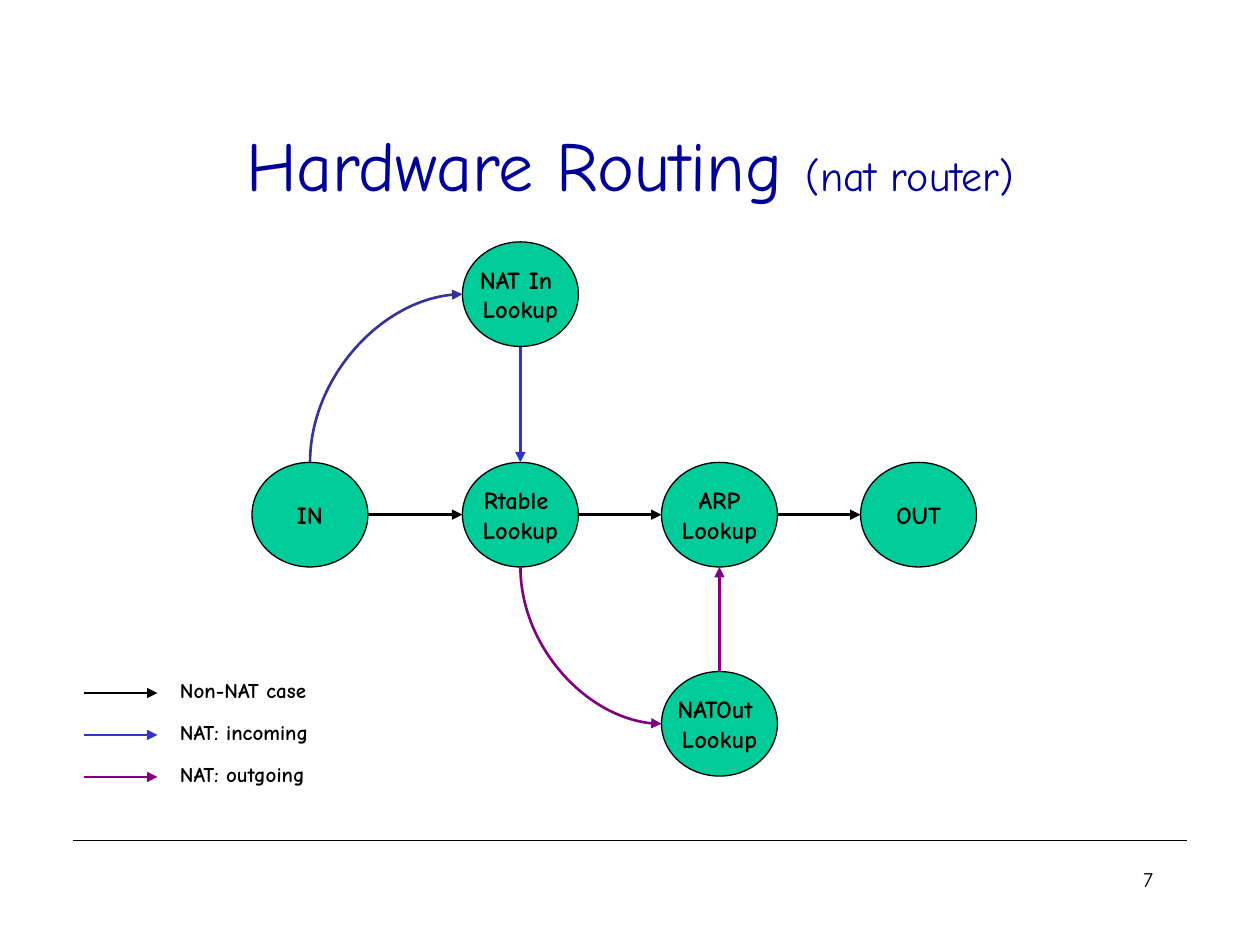
from pptx import Presentation
from pptx.dml.color import RGBColor
from pptx.enum.shapes import MSO_CONNECTOR, MSO_SHAPE
from pptx.enum.text import MSO_ANCHOR, PP_ALIGN
from pptx.oxml.ns import qn
from pptx.util import Inches, Pt
from lxml import etree

BLACK = RGBColor(0x00, 0x00, 0x00)
NAVY = RGBColor(0x00, 0x00, 0x99)
GREEN = RGBColor(0x00, 0xCC, 0x99)
INDIGO = RGBColor(0x33, 0x33, 0x99)
BLUE = RGBColor(0x33, 0x33, 0xCC)
PURPLE = RGBColor(0x80, 0x00, 0x80)

NODE_WIDTH, NODE_HEIGHT = 0.92, 0.83
COLUMNS = (2, 3.67, 5.25, 6.83)
ROWS = (1.92, 3.67, 5.33)


def write_text(shape, paragraphs, align=PP_ALIGN.LEFT, anchor=MSO_ANCHOR.TOP,
               wrap=True, font="Comic Neue", color=BLACK, bold=False):
    """Fill a shape; each paragraph is a list of (text, size) runs."""
    frame = shape.text_frame
    frame.word_wrap = wrap
    frame.vertical_anchor = anchor
    for index, runs in enumerate(paragraphs):
        paragraph = frame.add_paragraph() if index else frame.paragraphs[0]
        paragraph.alignment = align
        for text, size in runs:
            run = paragraph.add_run()
            run.text = text
            run.font.name = font
            run.font.size = Pt(size)
            run.font.bold = bold
            run.font.color.rgb = color


class Diagram:
    """Holds the style and the current slide."""

    def __init__(self, slide, thin=0.75, thick=1.5):
        self.slide = slide
        self.thin = Pt(thin)
        self.thick = Pt(thick)

    def text(self, left, top, width, height, runs, **text_format):
        box = self.slide.shapes.add_textbox(
            Inches(left), Inches(top), Inches(width), Inches(height))
        write_text(box, [runs], **text_format)

    def node(self, column, row, *lines):
        """Draw a node and return its top, left, bottom and right points."""
        left, top = COLUMNS[column], ROWS[row]
        shape = self.slide.shapes.add_shape(
            MSO_SHAPE.OVAL, Inches(left), Inches(top),
            Inches(NODE_WIDTH), Inches(NODE_HEIGHT))
        shape.shadow.inherit = False
        shape.fill.solid()
        shape.fill.fore_color.rgb = GREEN
        shape.line.color.rgb = BLACK
        shape.line.width = self.thin
        write_text(shape, [[(line, 14)] for line in lines], bold=True,
                   align=PP_ALIGN.CENTER, anchor=MSO_ANCHOR.MIDDLE, wrap=False)
        center, middle = left + NODE_WIDTH / 2, top + NODE_HEIGHT / 2
        return {"top": (center, top), "left": (left, middle),
                "bottom": (center, top + NODE_HEIGHT),
                "right": (left + NODE_WIDTH, middle)}

    def line(self, start, end, color=BLACK, arrow=True, kind=MSO_CONNECTOR.STRAIGHT):
        connector = self.slide.shapes.add_connector(
            kind, *(Inches(value) for value in (*start, *end)))
        connector.line.color.rgb = color
        connector.line.width = self.thick if arrow else self.thin
        properties = connector._element.spPr
        etree.SubElement(properties, qn("a:effectLst"))
        if arrow:
            etree.SubElement(properties.find(qn("a:ln")), qn("a:tailEnd"), type="triangle")
        return connector

    def curve(self, start, end, color):
        """Arrow that leaves vertically and arrives from the left."""
        across, down = end[0] - start[0], end[1] - start[1]
        center, middle = (start[0] + end[0]) / 2, (start[1] + end[1]) / 2
        # The frame is laid on its side, then turned by a quarter
        half_width = abs(down) / 2
        half_height = across / 2 if down > 0 else -across / 2
        connector = self.line((center + half_width, middle - half_height),
                              (center - half_width, middle + half_height),
                              color, kind=MSO_CONNECTOR.CURVE)
        properties = connector._element.spPr
        properties.find(qn("a:prstGeom")).set("prst", "curvedConnector2")
        turn = 270 if down > 0 else 90
        properties.find(qn("a:xfrm")).set("rot", str(turn * 60000))


def main():
    presentation = Presentation()
    presentation.slide_width = Inches(10)
    presentation.slide_height = Inches(7.5)
    slide = presentation.slides.add_slide(presentation.slide_layouts[6])
    diagram = Diagram(slide)

    # Footer rule and title
    diagram.line((0.58, 6.67), (9.42, 6.67), arrow=False)
    diagram.text(0.75, 0.67, 8.5, 1.25,
                 [("Hardware Routing ", 40), ("(nat router)", 24)],
                 align=PP_ALIGN.CENTER, anchor=MSO_ANCHOR.MIDDLE, color=NAVY)

    # Nodes
    inlet = diagram.node(0, 1, "IN")
    nat_in = diagram.node(1, 0, "NAT In ", "Lookup")
    rtable = diagram.node(1, 1, "Rtable ", "Lookup")
    arp = diagram.node(2, 1, "ARP", "Lookup")
    outlet = diagram.node(3, 1, "OUT")
    nat_out = diagram.node(2, 2, "NATOut ", "Lookup")

    # Routes
    for source, target in ((inlet, rtable), (rtable, arp), (arp, outlet)):
        diagram.line(source["right"], target["left"])
    diagram.curve(inlet["top"], nat_in["left"], INDIGO)
    diagram.line(nat_in["bottom"], rtable["top"], BLUE)
    diagram.curve(rtable["bottom"], nat_out["left"], PURPLE)
    diagram.line(nat_out["top"], arp["bottom"], PURPLE)

    # Legend
    legend = (("Non-NAT case", BLACK), ("NAT: incoming", BLUE), ("NAT: outgoing", PURPLE))
    for index, (label, color) in enumerate(legend):
        middle = 5.5 + index / 3
        diagram.line((0.67, middle), (1.25, middle), color)
        diagram.text(1.33, middle - 0.17, 2, 0.3, [(label, 12)], bold=True)

    # Slide number
    diagram.text(7.17, 6.83, 2.08, 0.5, [("7", 12)], align=PP_ALIGN.RIGHT)

    presentation.save("out.pptx")


if __name__ == "__main__":
    main()
